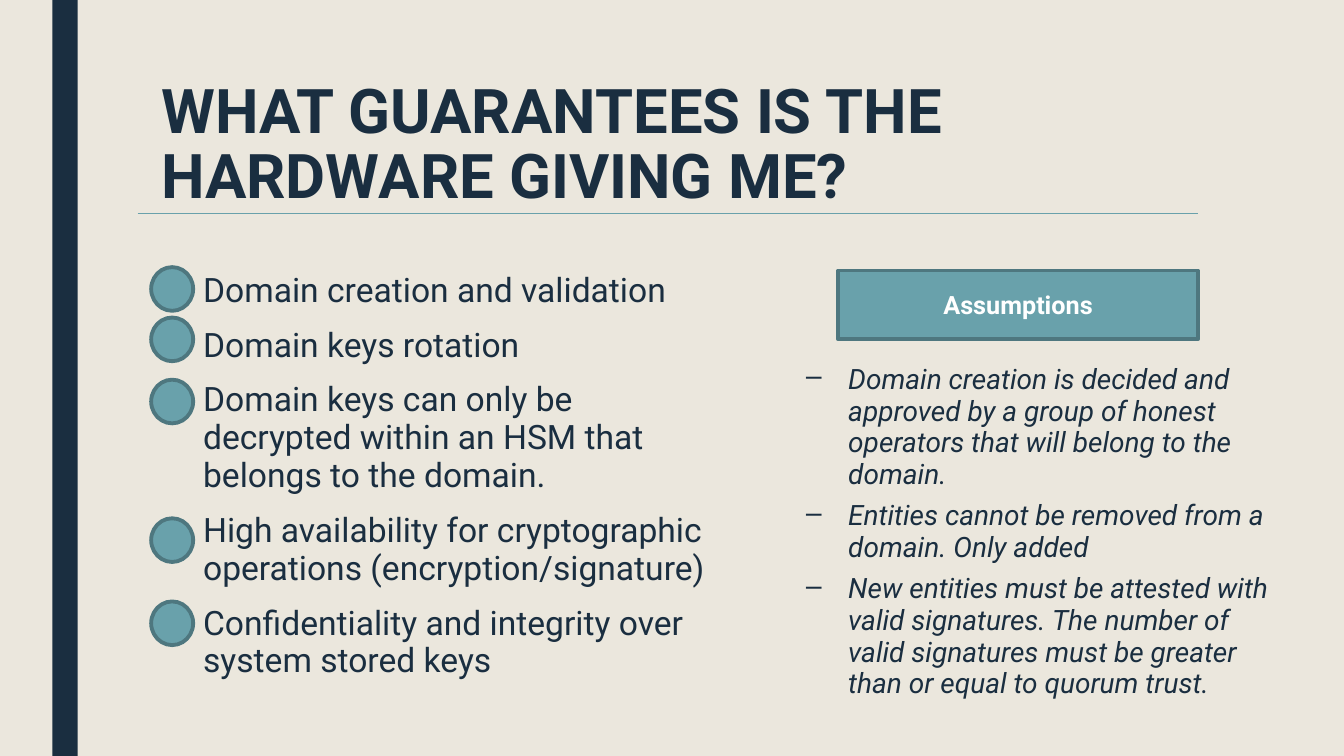
"""Build the slide on hardware guarantees and their assumptions."""
import dataclasses
import typing

import lxml.etree
import pptx
import pptx.dml.color
import pptx.enum.shapes
import pptx.enum.text
import pptx.oxml.ns
import pptx.util

COLS, ROWS = 80, 45
SHAPES = pptx.enum.shapes.MSO_SHAPE
qn = pptx.oxml.ns.qn


@dataclasses.dataclass(frozen=True)
class Theme:
    font: str = "Roboto"
    paper: str = "EBE7DD"
    navy: str = "1A2E40"
    teal: str = "69A1AB"
    edge: str = "4E777F"
    white: str = "FFFFFF"
    title: float = 44
    body: float = 24
    note: float = 20
    label: float = 18
    border: float = 2.75
    hairline: float = 0.5


@dataclasses.dataclass(frozen=True)
class Box:
    col: float
    row: float
    cols: float
    rows: float


@dataclasses.dataclass(frozen=True)
class Style:
    size: float
    color: str
    bold: bool = False
    italic: bool = False
    leading: float = 1.0
    before: float = 0
    after: float = 0
    indent: float = 0
    hanging: float = 0
    bullet: str = ""


THEME = Theme()
TITLE = Style(THEME.title, THEME.navy, bold=True, leading=0.89)
BODY = Style(THEME.body, THEME.navy, leading=0.94, before=10, after=2, indent=2.5)
NOTE = Style(THEME.note, THEME.navy, italic=True, leading=0.94, before=5, after=2,
             indent=6, hanging=2.5, bullet="–")
LABEL = Style(THEME.label, THEME.white, bold=True)

GUARANTEES = [
    "Domain creation and validation",
    "Domain keys rotation",
    "Domain keys can only be decrypted within an HSM that belongs to the domain.",
    "High availability for cryptographic operations (encryption/signature)",
    "Confidentiality and integrity over system stored keys",
]
ASSUMPTIONS = [
    "Domain creation is decided and approved by a group of honest operators "
    "that will belong to the domain.",
    "Entities cannot be removed from a domain. Only added",
    "New entities must be attested with valid signatures. The number of valid "
    "signatures must be greater than or equal to quorum trust.",
]
MARKER_ROWS = [15.9, 18.9, 22.6, 30.85, 35.8]

prs = pptx.Presentation()
prs.slide_width = pptx.util.Inches(13.33)
prs.slide_height = pptx.util.Inches(7.5)


def x(cols: float) -> int:
    """Convert grid columns to a length."""
    return round(prs.slide_width * cols / COLS)


def y(rows: float) -> int:
    """Convert grid rows to a length."""
    return round(prs.slide_height * rows / ROWS)


def rgb(color: str) -> pptx.dml.color.RGBColor:
    """Return the colour for a hex string."""
    return pptx.dml.color.RGBColor.from_string(color)


def frame(box: Box) -> tuple[int, int, int, int]:
    """Return left, top, width and height of a box."""
    return x(box.col), y(box.row), x(box.cols), y(box.rows)


def write(tf: typing.Any, lines: list[str], style: Style) -> None:
    """Fill a text frame with one styled paragraph per line."""
    tf.word_wrap = True
    tf.text = "\n".join(lines)
    for p in tf.paragraphs:
        p.line_spacing = style.leading
        p.space_before = pptx.util.Pt(style.before)
        p.space_after = pptx.util.Pt(style.after)
        pPr = p._p.get_or_add_pPr()
        pPr.set("marL", str(x(style.indent)))
        pPr.set("indent", str(-x(style.hanging)))
        if style.bullet:
            lxml.etree.SubElement(pPr, qn("a:buChar")).set("char", style.bullet)
        for r in p.runs:
            r.font.name = THEME.font
            r.font.size = pptx.util.Pt(style.size)
            r.font.bold = style.bold
            r.font.italic = style.italic
            r.font.color.rgb = rgb(style.color)


def add_text(s: typing.Any, box: Box, lines: list[str], style: Style) -> None:
    """Add a text box."""
    write(s.shapes.add_textbox(*frame(box)).text_frame, lines, style)


def add_shape(s: typing.Any, kind: SHAPES, box: Box, fill: str, edge: str = "") -> typing.Any:
    """Add a flat preset shape with an optional border."""
    sp = s.shapes.add_shape(kind, *frame(box))
    sp.shadow.inherit = False
    sp.fill.solid()
    sp.fill.fore_color.rgb = rgb(fill)
    if edge:
        sp.line.color.rgb = rgb(edge)
        sp.line.width = pptx.util.Pt(THEME.border)
    else:
        sp.line.fill.background()
    return sp


def add_rule(s: typing.Any, start: float, end: float, row: float) -> None:
    """Add a thin horizontal line."""
    line = s.shapes.add_connector(
        pptx.enum.shapes.MSO_CONNECTOR.STRAIGHT, x(start), y(row), x(end), y(row))
    line.line.color.rgb = rgb(THEME.teal)
    line.line.width = pptx.util.Pt(THEME.hairline)
    lxml.etree.SubElement(line._element.spPr, qn("a:effectLst"))


s = prs.slides.add_slide(prs.slide_layouts[6])
s.background.fill.solid()
s.background.fill.fore_color.rgb = rgb(THEME.paper)

add_shape(s, SHAPES.RECTANGLE, Box(3.12, 0, 1.5, ROWS), THEME.navy)
add_text(s, Box(9, 4.5, 63, 9.7), ["WHAT GUARANTEES IS THE HARDWARE GIVING ME?"], TITLE)
add_text(s, Box(9, 15.9, 34.9, 29), GUARANTEES, BODY)
add_rule(s, 8.2, 71.3, 12.7)
for row in MARKER_ROWS:
    add_shape(s, SHAPES.OVAL, Box(9, row, 2.5, 2.6), THEME.teal, THEME.edge)
add_text(s, Box(43.9, 21.4, 33.3, 23.5), ASSUMPTIONS, NOTE)

banner = add_shape(s, SHAPES.RECTANGLE, Box(49.9, 16.1, 21.4, 4.1), THEME.teal, THEME.edge)
write(banner.text_frame, ["Assumptions"], LABEL)
banner.text_frame.vertical_anchor = pptx.enum.text.MSO_ANCHOR.MIDDLE
banner.text_frame.paragraphs[0].alignment = pptx.enum.text.PP_ALIGN.CENTER

prs.save("out.pptx")
